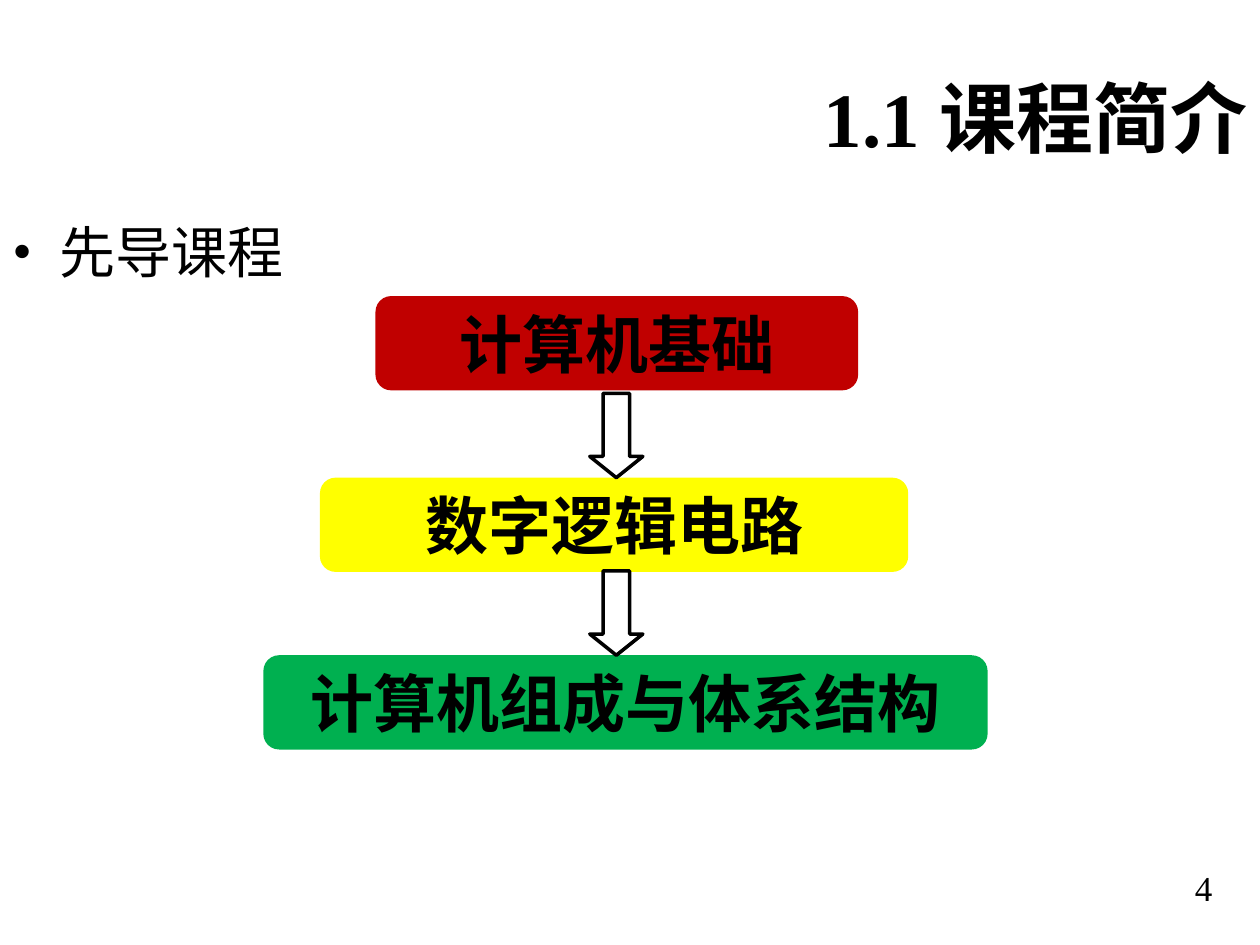
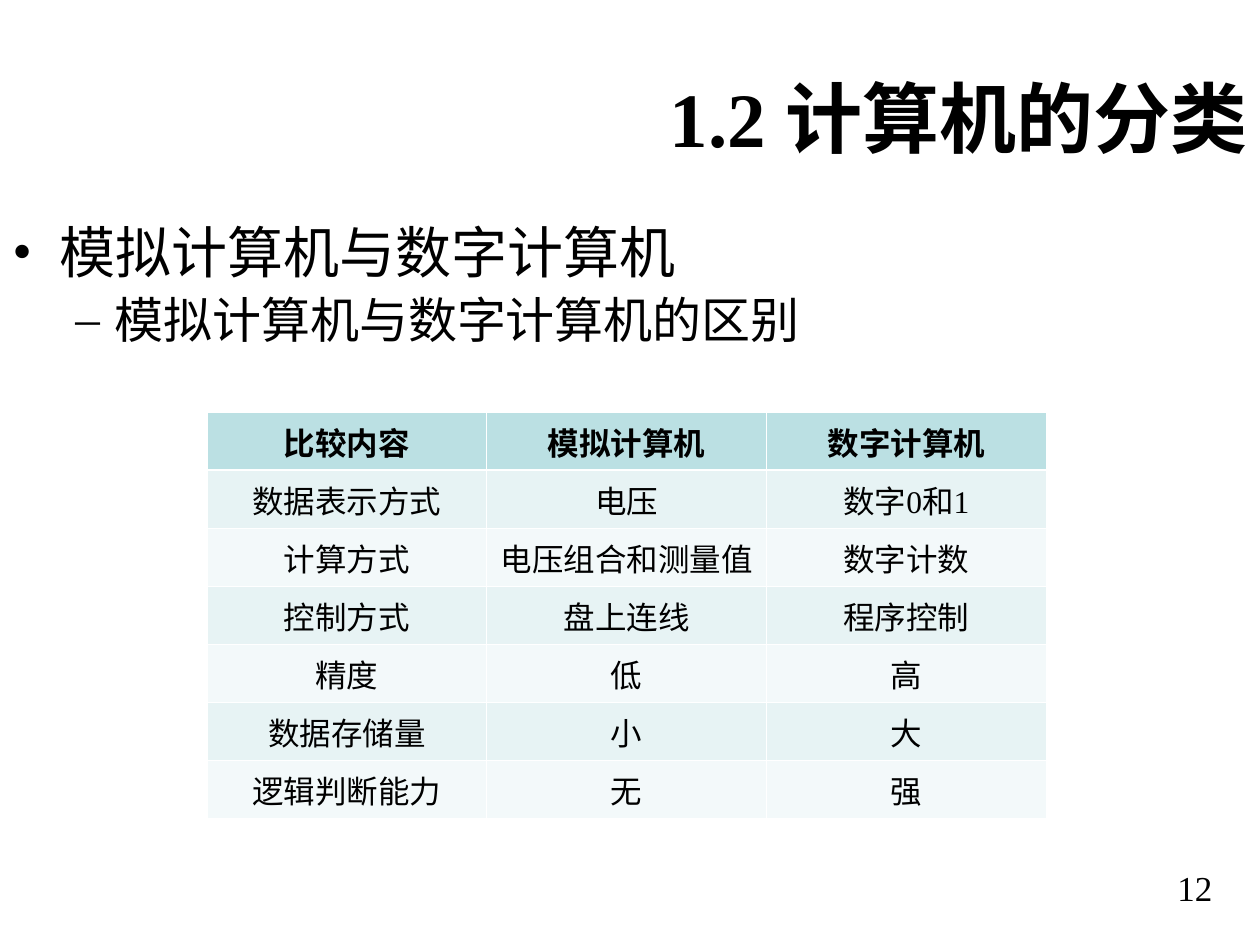
from lxml.etree import SubElement
from pptx import Presentation
from pptx.dml.color import RGBColor
from pptx.enum.lang import MSO_LANGUAGE_ID
from pptx.enum.shapes import MSO_SHAPE
from pptx.enum.text import MSO_ANCHOR, PP_ALIGN
from pptx.oxml.ns import qn
from pptx.util import Cm, Pt

BLACK, WHITE = "000000", "FFFFFF"
SERIF, SANS = "Times New Roman", "Arial"


def tint(code):
    return RGBColor.from_string(code)


def write(para, text, size=18, font=SERIF, color=BLACK, bold=False,
          align=PP_ALIGN.CENTER):
    para.alignment = align
    run = para.add_run()
    run.text = text
    run.font.size = Pt(size)
    run.font.name = font
    run.font.bold = bold
    run.font.color.rgb = tint(color)
    run.font.language_id = MSO_LANGUAGE_ID.SIMPLIFIED_CHINESE


def mark(para, sign, left, hang):
    props = para._p.get_or_add_pPr()
    props.set("marL", str(Cm(left)))
    props.set("indent", str(-Cm(hang)))
    ink = SubElement(props, qn("a:buClr"))
    SubElement(ink, qn("a:srgbClr"), val=BLACK)
    SubElement(props, qn("a:buFont"), typeface=SERIF)
    SubElement(props, qn("a:buChar"), char=sign)


def edge(cell, widths):
    props = cell._tc.get_or_add_tcPr()
    for side, width in zip("LRTB", widths):
        line = SubElement(props, qn(f"a:ln{side}"), w=str(Pt(width)))
        fill = SubElement(line, qn("a:solidFill"))
        SubElement(fill, qn("a:srgbClr"), val=WHITE)


class Deck:
    levels = (("•", 0.95, 0.95, 32, 0), ("–", 2.06, 0.79, 28, 7))
    head, bands = "BBE0E3", ("E7F3F4", "F3F9FA")

    def __init__(self):
        self.file = Presentation()
        self.file.slide_width, self.file.slide_height = Cm(25.4), Cm(19.05)

    def page(self, title, points, number):
        self.slide = self.file.slides.add_slide(self.file.slide_layouts[6])
        frame = self.text(0, 0.76, 25.4, 3.18)
        frame.vertical_anchor = MSO_ANCHOR.MIDDLE
        write(frame.paragraphs[0], title, size=44, bold=True,
              align=PP_ALIGN.RIGHT)
        self.list(points)
        foot = self.text(18.77, 17.35, 5.92, 1.32)
        write(foot.paragraphs[0], str(number), size=20, align=PP_ALIGN.RIGHT)

    def text(self, left, top, width, height):
        box = self.slide.shapes.add_textbox(
            Cm(left), Cm(top), Cm(width), Cm(height))
        box.text_frame.word_wrap = True
        return box.text_frame

    def list(self, points):
        frame = self.text(0, 4.45, 25.4, 12.57)
        for rank, (point, level) in enumerate(zip(points, self.levels)):
            sign, left, hang, size, space = level
            para = frame.add_paragraph() if rank else frame.paragraphs[0]
            para.level = rank
            mark(para, sign, left, hang)
            para.line_spacing = 0.87
            para.space_before = Pt(space)
            write(para, point, size=size, align=PP_ALIGN.JUSTIFY)

    def shape(self, kind, left, top, width, height):
        item = self.slide.shapes.add_shape(
            kind, Cm(left), Cm(top), Cm(width), Cm(height))
        item.shadow.inherit = False
        return item

    def course(self, text, left, top, width, color):
        box = self.shape(MSO_SHAPE.FLOWCHART_ALTERNATE_PROCESS,
                         left, top, width, 1.9)
        box.fill.solid()
        box.fill.fore_color.rgb = tint(color)
        box.line.fill.background()
        frame = box.text_frame
        frame.word_wrap = False
        frame.vertical_anchor = MSO_ANCHOR.MIDDLE
        write(frame.paragraphs[0], text, size=36, font=SANS, bold=True)

    def arrow(self, left, end):
        item = self.shape(MSO_SHAPE.DOWN_ARROW, left, end - 1.7, 1.07, 1.7)
        item.adjustments[0], item.adjustments[1] = 0.5, 0.4
        item.fill.background()
        item.line.color.rgb = tint(BLACK)
        item.line.width = Pt(2)

    def table(self, rows, left, top, wide, high):
        count, span = len(rows), len(rows[0])
        grid = self.slide.shapes.add_table(
            count, span, Cm(left), Cm(top),
            Cm(wide * span), Cm(high * count)).table
        for col in grid.columns:
            col.width = Cm(wide)
        for y, row in enumerate(rows):
            grid.rows[y].height = Cm(high)
            for x, text in enumerate(row):
                cell = grid.cell(y, x)
                edge(cell, (0.45, 0.45, 1.47 if y == 1 else 0.45,
                            0.45 if y else 1.47))
                cell.fill.solid()
                cell.fill.fore_color.rgb = tint(
                    self.bands[(y - 1) % 2] if y else self.head)
                write(cell.text_frame.paragraphs[0], text, bold=y == 0)


def main():
    deck = Deck()
    deck.page("1.1 课程简介", ["先导课程"], 4)
    steps = (
        ("计算机基础", 7.57, 5.97, 9.73, "C00000"),
        ("数字逻辑电路", 6.45, 9.63, 11.86, "FFFF00"),
        ("计算机组成与体系结构", 5.31, 13.21, 14.6, "00B050"),
    )
    for step in steps:
        deck.course(*step)
    for step in steps[1:]:
        deck.arrow(11.89, step[2])

    deck.page("1.2 计算机的分类",
              ["模拟计算机与数字计算机", "模拟计算机与数字计算机的区别"], 12)
    deck.table((
        ("比较内容", "模拟计算机", "数字计算机"),
        ("数据表示方式", "电压", "数字0和1"),
        ("计算方式", "电压组合和测量值", "数字计数"),
        ("控制方式", "盘上连线", "程序控制"),
        ("精度", "低", "高"),
        ("数据存储量", "小", "大"),
        ("逻辑判断能力", "无", "强"),
    ), 4.17, 8.31, 5.64, 1.17)
    deck.file.save("out.pptx")


if __name__ == "__main__":
    main()
